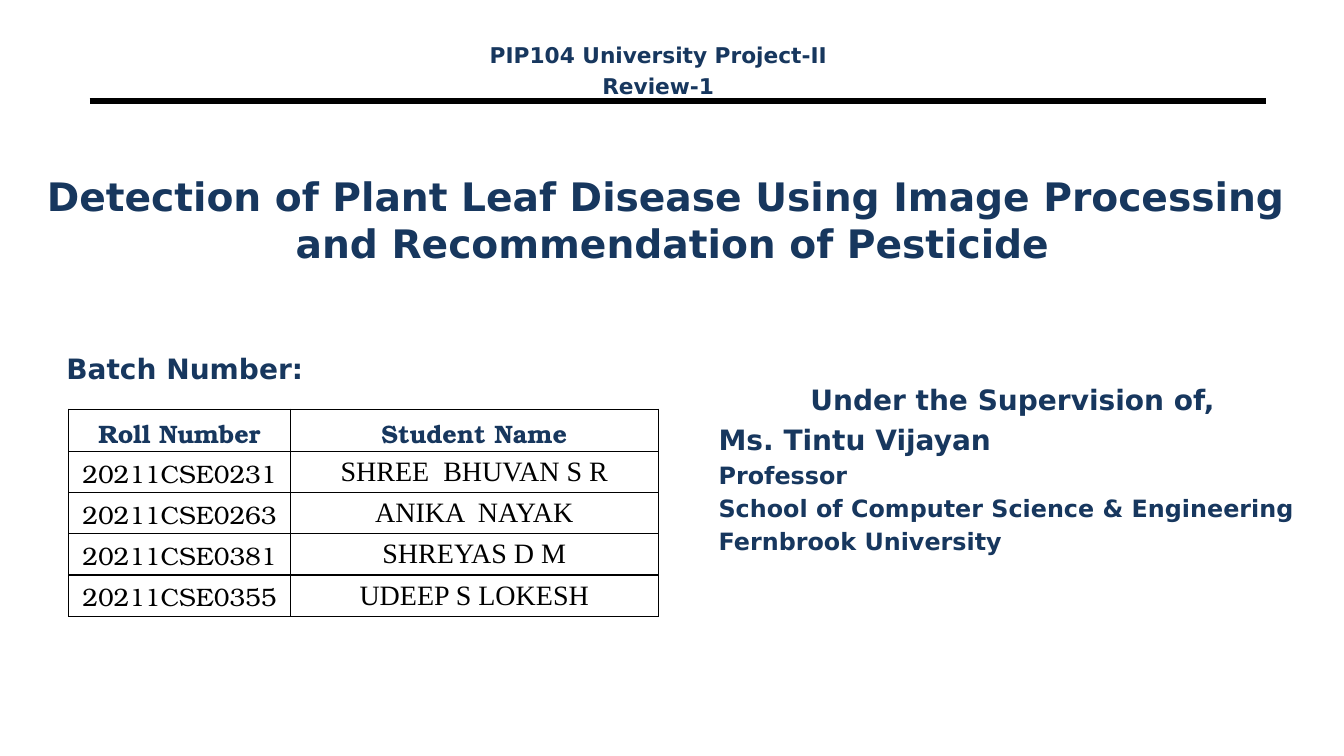
"""Build the title slide of a plant leaf disease project review."""
from lxml.etree import SubElement
from pptx import Presentation
from pptx.dml.color import RGBColor
from pptx.enum.shapes import MSO_CONNECTOR
from pptx.enum.text import MSO_ANCHOR as Anchor, PP_ALIGN as Align
from pptx.oxml import parse_xml
from pptx.oxml.ns import nsdecls, qn
from pptx.util import Pt

NAVY, BLACK = "17375E", "000000"
SANS, BONUM, TIMES = "DejaVu Sans", "TeX Gyre Bonum", "Times New Roman"


def style(paragraph, text, size, align, face=SANS, color=NAVY, bold=True):
    paragraph.text = text
    paragraph.alignment = align
    font = paragraph.font
    font.name, font.size, font.bold = face, Pt(size), bold
    font.color.rgb = RGBColor.from_string(color)


def add_text(slide, box, lines, anchor=Anchor.TOP):
    frame = slide.shapes.add_textbox(*map(Pt, box)).text_frame
    frame.word_wrap = True
    frame.vertical_anchor = anchor
    for index, (text, size, align) in enumerate(lines):
        paragraph = frame.add_paragraph() if index else frame.paragraphs[0]
        style(paragraph, text, size, align)
        paragraph.space_before = Pt(size * 0.2 if index else 0)


deck = Presentation()
deck.slide_width, deck.slide_height = Pt(960), Pt(540)
slide = deck.slides.add_slide(deck.slide_layouts[6])

header_rule = slide.shapes.add_connector(
    MSO_CONNECTOR.STRAIGHT, Pt(64), Pt(72), Pt(904), Pt(72))
header_rule.line.width = Pt(4.5)
header_rule.line.color.rgb = RGBColor.from_string(BLACK)
SubElement(header_rule._element.spPr, qn("a:effectLst"))

add_text(slide, (8.6, 98.6, 943.2, 116), [
    ("Detection of Plant Leaf Disease Using Image Processing \n"
     "and Recommendation of Pesticide", 28, Align.CENTER)], Anchor.MIDDLE)
add_text(slide, (40.3, 247.7, 312.5, 43.2), [("Batch Number:", 20, Align.LEFT)])
add_text(slide, (506.2, 270, 434.2, 191.5), [
    ("Under the Supervision of,", 20, Align.CENTER),
    ("Ms. Tintu Vijayan", 20, Align.LEFT),
    ("Professor", 17, Align.LEFT),
    ("School of Computer Science & Engineering", 17, Align.LEFT),
    ("Fernbrook University", 17, Align.LEFT)])
add_text(slide, (313.9, 26.6, 312.5, 43.2), [
    ("PIP104 University Project-II", 15.5, Align.CENTER),
    ("Review-1", 15.5, Align.CENTER)])

students = [
    ("Roll Number", "Student Name"),
    ("20211CSE0231", "SHREE  BHUVAN S R"),
    ("20211CSE0263", "ANIKA  NAYAK"),
    ("20211CSE0381", "SHREYAS D M"),
    ("20211CSE0355", "UDEEP S LOKESH"),
]
roster = slide.shapes.add_table(
    len(students), 2, Pt(49), Pt(292.3), Pt(421.2), Pt(148)).table
roster.first_row = roster.horz_banding = False
for column, width in zip(roster.columns, (158.4, 262.8)):
    column.width = Pt(width)

for r, student in enumerate(students):
    roster.rows[r].height = Pt(29.5 if r else 30)
    for c, text in enumerate(student):
        cell = roster.cell(r, c)
        cell.vertical_anchor = Anchor.MIDDLE
        paragraph = cell.text_frame.paragraphs[0]
        if r == 0:
            style(paragraph, text, 18, Align.CENTER, BONUM)
        elif c == 0:
            style(paragraph, text, 18, Align.CENTER, BONUM, BLACK, False)
        else:
            style(paragraph, text, 20, Align.CENTER, TIMES, BLACK, False)
            paragraph.space_before = Pt(0.2)
            cell.margin_left = cell.margin_right = Pt(5)
            cell.margin_top = cell.margin_bottom = Pt(0)
        for side in ("lnL", "lnR", "lnT", "lnB"):
            cell._tc.get_or_add_tcPr().append(parse_xml(
                f'<a:{side} {nsdecls("a")} w="{Pt(1)}"><a:solidFill>'
                f'<a:srgbClr val="{BLACK}"/></a:solidFill></a:{side}>'))
        cell.fill.background()

deck.save("out.pptx")
